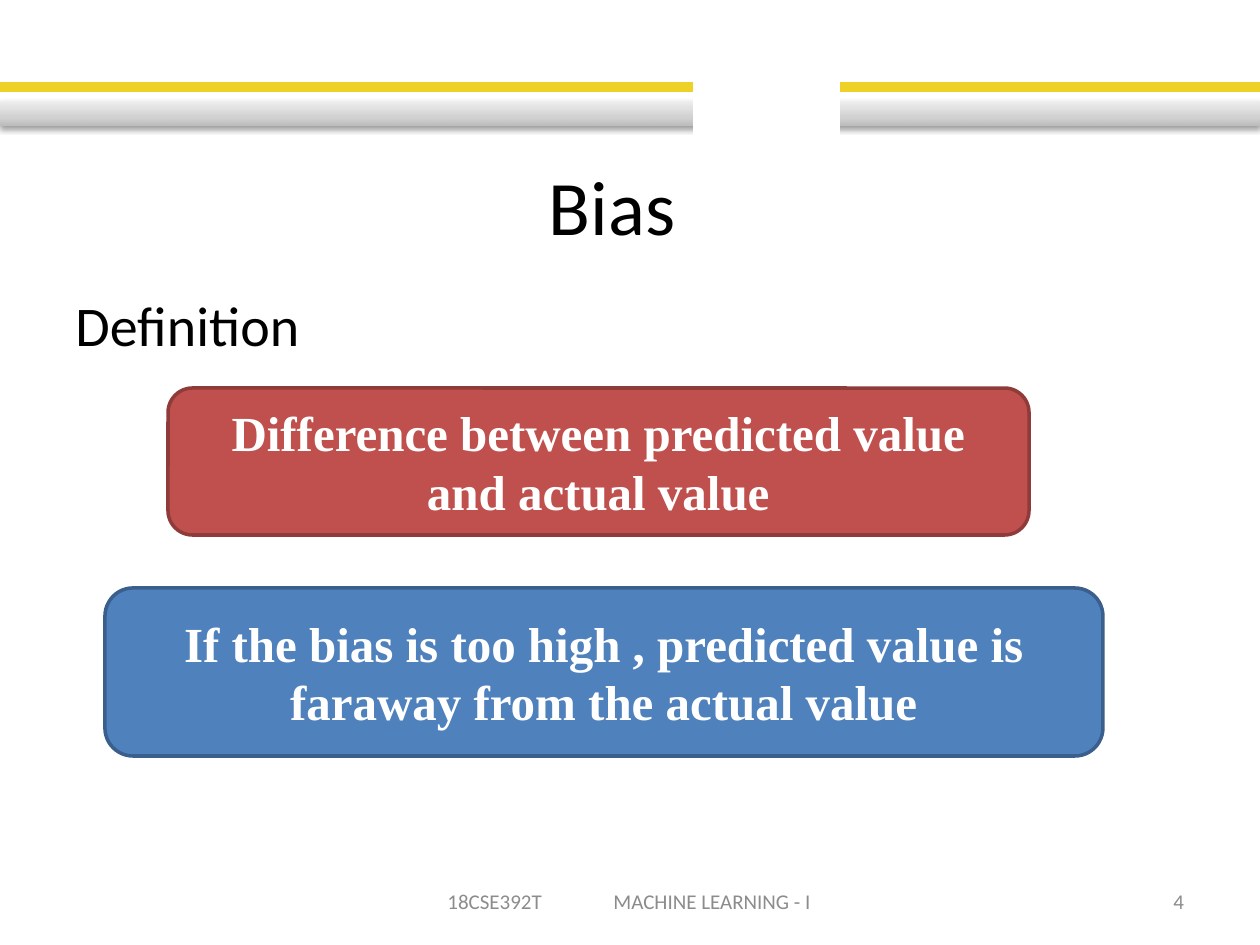
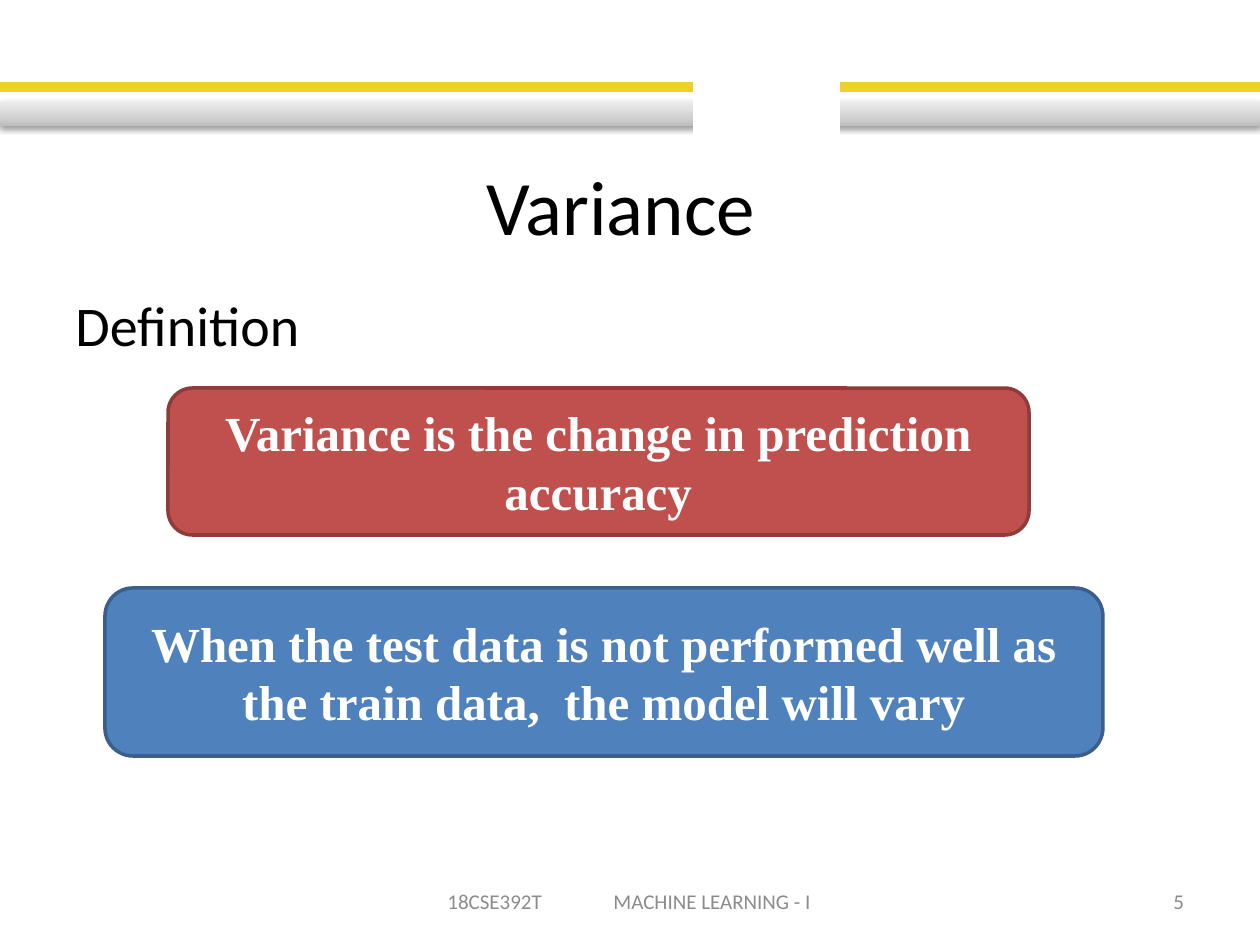
from dataclasses import dataclass

from pptx import Presentation
from pptx.dml.color import RGBColor
from pptx.enum.shapes import MSO_SHAPE
from pptx.enum.text import MSO_ANCHOR, PP_ALIGN
from pptx.oxml import parse_xml
from pptx.oxml.ns import nsdecls, qn
from pptx.util import Emu, Pt

RECT, ROUNDED = MSO_SHAPE.RECTANGLE, MSO_SHAPE.ROUNDED_RECTANGLE
LEFT, CENTER, RIGHT = PP_ALIGN.LEFT, PP_ALIGN.CENTER, PP_ALIGN.RIGHT
TOP, MIDDLE = MSO_ANCHOR.TOP, MSO_ANCHOR.MIDDLE
PX_PER_INCH = 126
INSET = 13
TITLE_ONLY = 5


@dataclass(frozen=True)
class Theme:
    black: str = "000000"
    white: str = "FFFFFF"
    yellow: str = "EED126"
    gray: str = "8C8C8C"
    red: str = "C0504D"
    red_edge: str = "8E3B39"
    blue: str = "4F81BD"
    blue_edge: str = "3A5F8C"
    band_stops: tuple = ((0, "BDBDBD"), (35, "D1D1D1"), (100, "EEEEEE"))
    sans: str = "Calibri"
    serif: str = "Times New Roman"
    title_size: int = 44
    body_size: int = 32
    card_size: int = 28
    footer_size: int = 12
    line_width: int = 2


THEME = Theme()


def px(length):
    return Emu(round(length * 914400 / PX_PER_INCH))


def write(box, text, size, color=THEME.black, font=THEME.sans, bold=False,
          align=CENTER, anchor=MIDDLE, right_inset=INSET):
    frame = box.text_frame
    frame.word_wrap = True
    frame.vertical_anchor = anchor
    frame.margin_right = px(right_inset)
    para = frame.paragraphs[0]
    para.alignment = align
    span = para.add_run()
    span.text = text
    span.font.size = Pt(size)
    span.font.name = font
    span.font.bold = bold
    span.font.color.rgb = RGBColor.from_string(color)
    return para


# Shared header and cards: shape, place, fill, edge
HEADER = (
    (RECT, (0, 84, 1260, 6), THEME.yellow, THEME.yellow),
    (RECT, (0, 101, 1260, 25), None, None),
    (ROUNDED, (693, 63, 147, 84), THEME.white, None),
)
CARDS = (
    (ROUNDED, (168, 388, 861, 147), THEME.red, THEME.red_edge),
    (ROUNDED, (105, 588, 998, 168), THEME.blue, THEME.blue_edge),
)

# Title, extra inset that moves it left of centre, page number, card texts
PAGES = (
    ("Bias", 35, "4", (
        "Difference between predicted value and actual value",
        "If the bias is too high , predicted value is faraway from the actual value")),
    ("Variance", 18, "5", (
        "Variance is the change in prediction accuracy",
        "When the test data is not performed well as the train data,  the model will vary")),
)

deck = Presentation()
deck.slide_width, deck.slide_height = px(1260), px(945)

for title_text, title_shift, number, card_texts in PAGES:
    page = deck.slides.add_slide(deck.slide_layouts[TITLE_ONLY])

    # Header bands and cards
    labels = ("",) * len(HEADER) + card_texts
    for (kind, place, fill, edge), label in zip(HEADER + CARDS, labels):
        shape = page.shapes.add_shape(kind, *map(px, place))
        shape.shadow.inherit = False
        if edge:
            shape.line.color.rgb = RGBColor.from_string(edge)
            shape.line.width = Pt(THEME.line_width)
        else:
            shape.line.fill.background()
        if fill:
            shape.fill.solid()
            shape.fill.fore_color.rgb = RGBColor.from_string(fill)
        else:
            # Gray band: gradient from bottom to top, soft shadow below
            stops = "".join(
                f'<a:gs pos="{place * 1000}"><a:srgbClr val="{color}"/></a:gs>'
                for place, color in THEME.band_stops)
            properties = shape.element.spPr
            properties.find(qn("a:ln")).addprevious(parse_xml(
                f'<a:gradFill {nsdecls("a")} rotWithShape="1"><a:gsLst>{stops}</a:gsLst>'
                '<a:lin ang="16200000" scaled="0"/></a:gradFill>'))
            properties.find(qn("a:effectLst")).append(parse_xml(
                f'<a:outerShdw {nsdecls("a")} blurRad="{Pt(3.1)}" dist="{Pt(1.6)}" '
                f'dir="5400000" rotWithShape="0"><a:srgbClr val="{THEME.black}">'
                '<a:alpha val="38000"/></a:srgbClr></a:outerShdw>'))
        if label:
            write(shape, label, THEME.card_size, color=THEME.white,
                  font=THEME.serif, bold=True)

    # Title
    title = page.shapes.title
    title.left, title.top, title.width, title.height = map(px, (63, 126, 1134, 158))
    write(title, title_text, THEME.title_size, right_inset=INSET + title_shift)

    # Heading
    heading = page.shapes.add_textbox(*map(px, (63, 284, 1134, 624)))
    write(heading, "Definition", THEME.body_size, align=LEFT, anchor=TOP)

    # Footer: a tab stop separates course code and course name
    footer = page.shapes.add_textbox(*map(px, (435, 876, 395, 50)))
    para = write(footer, "18CSE392T\tMACHINE LEARNING - I", THEME.footer_size,
                 color=THEME.gray, align=LEFT, right_inset=0)
    para._p.get_or_add_pPr().append(parse_xml(
        f'<a:tabLst {nsdecls("a")}><a:tab pos="{px(166)}" algn="l"/></a:tabLst>'))
    page_number = page.shapes.add_textbox(*map(px, (903, 876, 294, 50)))
    write(page_number, number, THEME.footer_size, color=THEME.gray, align=RIGHT)

deck.save("out.pptx")
